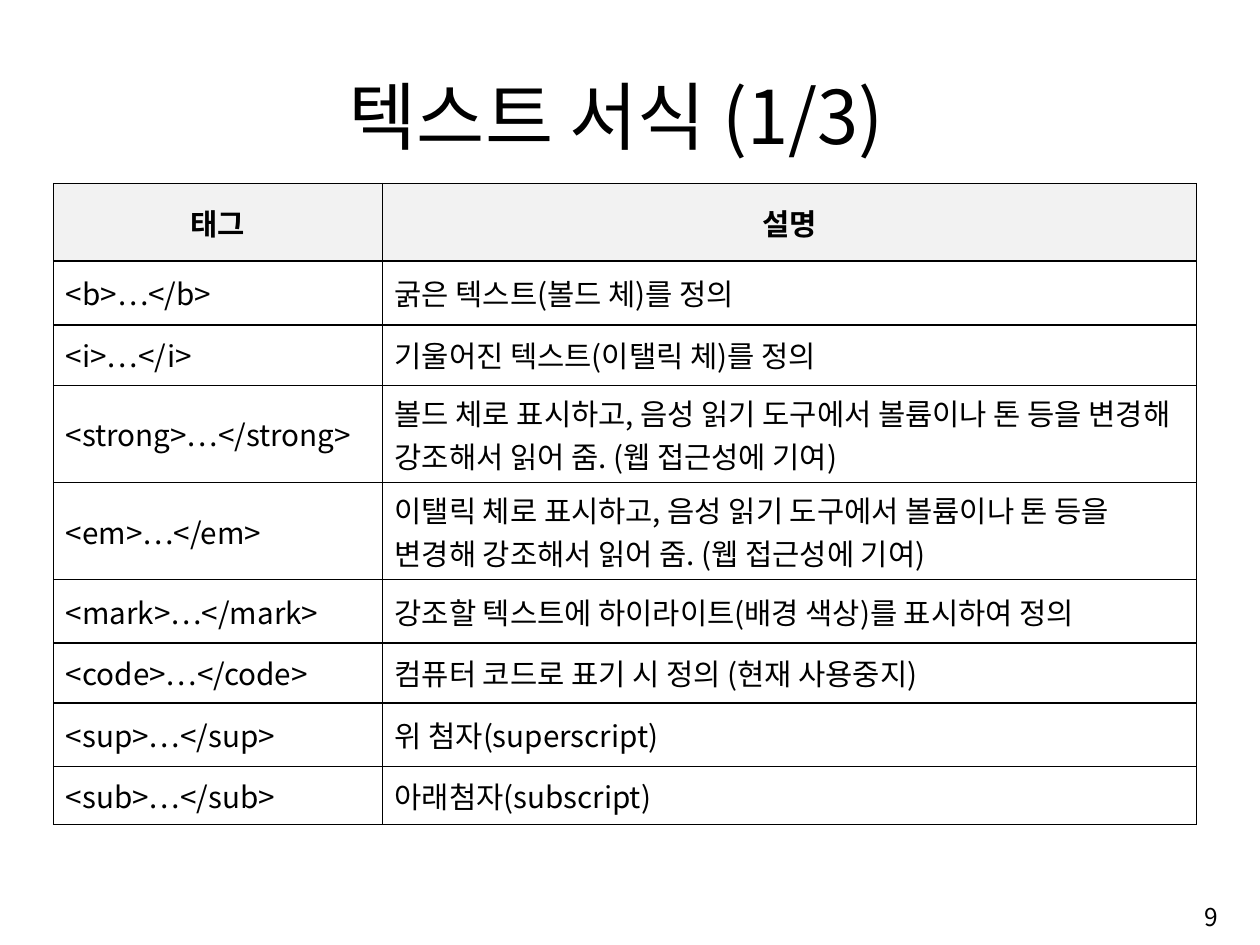
from lxml import etree
from pptx import Presentation
from pptx.dml.color import RGBColor
from pptx.enum import text
from pptx.oxml import ns
from pptx.util import Inches, Pt

TITLE = "텍스트 서식 (1/3)"
PAGE = "9"
HEADER = ("태그", "설명")
SPOKEN = "체로 표시하고, 음성 읽기 도구에서 볼륨이나 톤 등을 변경해 강조해서 읽어 줌. (웹 접근성에 기여)"
# tag name, description, row height
TAGS = [
    ("b", "굵은 텍스트(볼드 체)를 정의", 0.66),
    ("i", "기울어진 텍스트(이탤릭 체)를 정의", 0.62),
    ("strong", f"볼드 {SPOKEN}", 0.99),
    ("em", f"이탤릭 {SPOKEN}", 0.96),
    ("mark", "강조할 텍스트에 하이라이트(배경 색상)를 표시하여 정의", 0.65),
    ("code", "컴퓨터 코드로 표기 시 정의 (현재 사용중지)", 0.62),
    ("sup", "위 첨자(superscript)", 0.65),
    ("sub", "아래첨자(subscript)", 0.6),
]
HEADER_HEIGHT = 0.8
COLUMN_WIDTHS = (3.39, 8.4)
FONT = "Noto Sans CJK KR"
COLORS = {"ink": "000000", "header": "F2F2F2"}
CELL_FORMAT = {
    "margin_left": Inches(0.13), "margin_right": Inches(0.13),
    "margin_top": Inches(0.06), "margin_bottom": Inches(0.06),
    "vertical_anchor": text.MSO_ANCHOR.MIDDLE,
}
ALIGN = text.PP_ALIGN


def write(frame, words, size, align, bold=False):
    paragraph = frame.paragraphs[0]
    paragraph.alignment = align
    run = paragraph.add_run()
    run.text = words
    for name, value in {"size": Pt(size), "bold": bold, "name": FONT}.items():
        setattr(run.font, name, value)
    run.font.color.rgb = RGBColor.from_string(COLORS["ink"])
    east_asian = etree.SubElement(run.font._element, ns.qn("a:ea"))
    east_asian.set("typeface", FONT)


def add_borders(cell):
    """Rule all four sides; borders must precede the fill in the XML."""
    properties = cell._tc.get_or_add_tcPr()
    for side in ("lnL", "lnR", "lnT", "lnB"):
        line = etree.SubElement(properties, ns.qn(f"a:{side}"), w=str(Pt(1)))
        fill = etree.SubElement(line, ns.qn("a:solidFill"))
        etree.SubElement(fill, ns.qn("a:srgbClr"), val=COLORS["ink"])


def add_tag_table(slide):
    rows = [HEADER] + [(f"<{tag}>…</{tag}>", meaning) for tag, meaning, _ in TAGS]
    heights = [HEADER_HEIGHT] + [height for *_, height in TAGS]
    table = slide.shapes.add_table(
        len(rows), len(HEADER), Inches(0.55), Inches(1.89),
        Inches(sum(COLUMN_WIDTHS)), Inches(sum(heights))).table
    table.horz_banding = False
    for column, width in zip(table.columns, COLUMN_WIDTHS):
        column.width = Inches(width)
    for index, (row, words, height) in enumerate(zip(table.rows, rows, heights)):
        row.height = Inches(height)
        is_header = index == 0
        for cell, entry in zip(row.cells, words):
            for name, value in CELL_FORMAT.items():
                setattr(cell, name, value)
            add_borders(cell)
            if is_header:
                cell.fill.solid()
                cell.fill.fore_color.rgb = RGBColor.from_string(COLORS["header"])
            else:
                cell.fill.background()
            write(cell.text_frame, entry, 22,
                  ALIGN.CENTER if is_header else ALIGN.LEFT, is_header)


def main():
    deck = Presentation()
    deck.slide_width, deck.slide_height = Inches(12.99), Inches(9.74)
    slide = deck.slides.add_slide(deck.slide_layouts[5])

    title = slide.shapes.title
    title.left, title.top = Inches(1.05), Inches(0.61)
    title.width, title.height = Inches(10.61), Inches(1.08)
    title.text_frame.vertical_anchor = text.MSO_ANCHOR.BOTTOM
    title.text_frame.auto_size = text.MSO_AUTO_SIZE.NONE
    write(title.text_frame, TITLE, 55, ALIGN.CENTER)

    add_tag_table(slide)

    page = slide.shapes.add_textbox(Inches(9.98), Inches(9.15), Inches(2.68), Inches(0.6))
    page.text_frame.word_wrap = True
    page.text_frame.vertical_anchor = text.MSO_ANCHOR.MIDDLE
    write(page.text_frame, PAGE, 18.2, ALIGN.RIGHT)

    deck.save("out.pptx")


if __name__ == "__main__":
    main()
